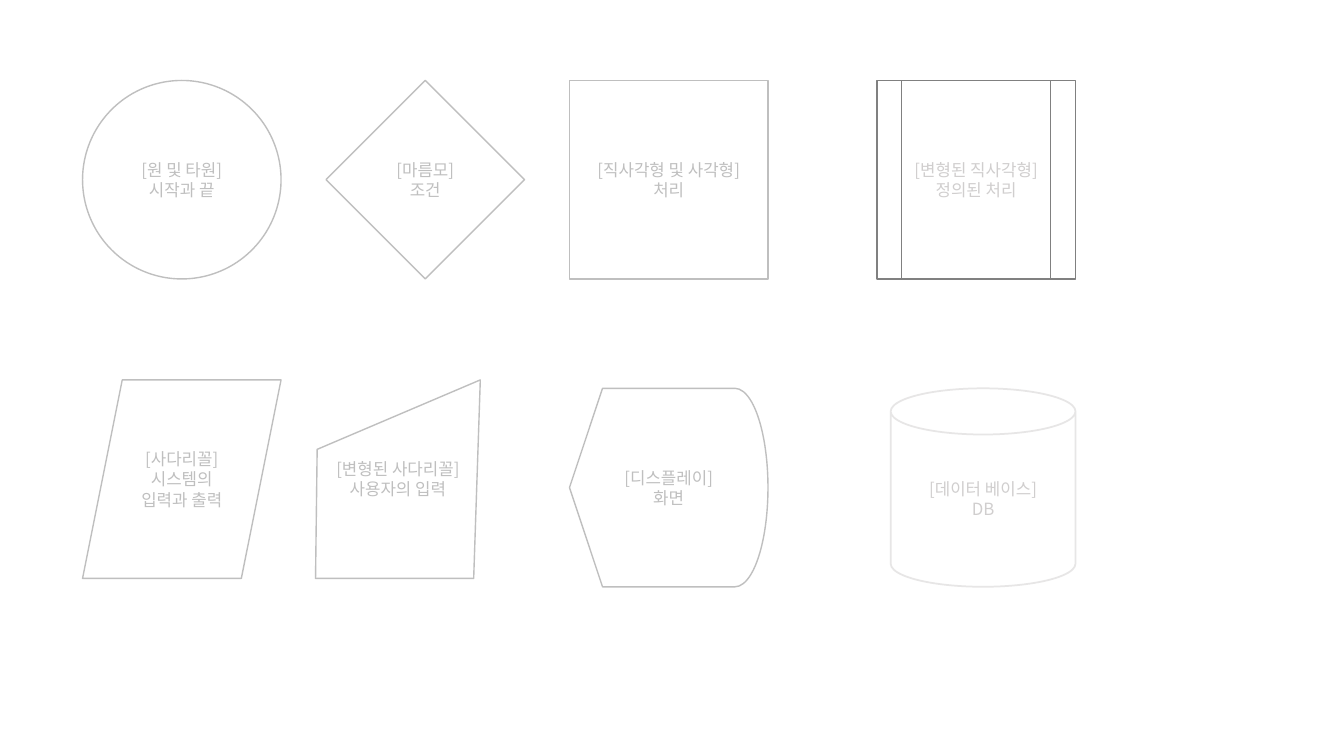
from pptx import Presentation
from pptx.dml.color import RGBColor
from pptx.enum.shapes import MSO_SHAPE
from pptx.enum.text import MSO_ANCHOR, PP_ALIGN
from pptx.oxml.ns import qn
from pptx.util import Pt
from lxml import etree

CIRCLE = MSO_SHAPE.OVAL
DECISION = MSO_SHAPE.FLOWCHART_DECISION
PROCESS = MSO_SHAPE.FLOWCHART_PROCESS
PREDEFINED = MSO_SHAPE.FLOWCHART_PREDEFINED_PROCESS
DATA = MSO_SHAPE.FLOWCHART_DATA
DISPLAY = MSO_SHAPE.FLOWCHART_DISPLAY
DATABASE = MSO_SHAPE.CAN
MIDDLE = MSO_ANCHOR.MIDDLE
CENTER = PP_ALIGN.CENTER

FONT = "Noto Sans CJK KR"
WHITE, GRAY, DARK, PALE, FAINT = "FFFFFF", "BFBFBF", "808080", "D0CECE", "E7E6E6"

SIZE = 141.8
LEFT, STEP = 59, 173.9
COLUMNS = [LEFT + STEP * index for index in range(3)] + [626.4]
TOP_ROW, LOWER_ROW, LOWERED_ROW = 57.5, 271.4, 277.4
CAN_WIDTH = 132
INPUT_LEFT, INPUT_WIDTH = 225.4, 117.7


def color(hex_string):
    return RGBColor.from_string(hex_string)


def write_text(shape, lines, size=12, text_color=GRAY):
    frame = shape.text_frame
    frame.word_wrap = True
    frame.vertical_anchor = MIDDLE
    for index, line in enumerate(lines):
        para = frame.add_paragraph() if index else frame.paragraphs[0]
        para.alignment = CENTER
        span = para.add_run()
        span.text = line
        span.font.name = FONT
        span.font.size = Pt(size)
        span.font.color.rgb = color(text_color)
        # East Asian typeface for the Korean text
        etree.SubElement(span.font._element, qn("a:ea"), typeface=FONT)


def style_symbol(shape, lines, line_color=GRAY, line_width=1, text_color=GRAY):
    shape.shadow.inherit = False
    shape.fill.solid()
    shape.fill.fore_color.rgb = color(WHITE)
    shape.line.color.rgb = color(line_color)
    shape.line.width = Pt(line_width)
    write_text(shape, lines, text_color=text_color)


def add_symbol(page, kind, box, lines, **style):
    shape = page.shapes.add_shape(kind, *map(Pt, box))
    style_symbol(shape, lines, **style)


def add_manual_input(page, box, lines):
    """Draw the four-sided symbol with a sloping top edge."""
    left, top, width, height = box
    corners = [(0, 1), (0.01, 0.35), (1, 0), (0.96, 1)]
    points = [(Pt(left + width * x), Pt(top + height * y)) for x, y in corners]
    builder = page.shapes.build_freeform(*points[0], scale=1.0)
    builder.add_line_segments(points[1:], close=True)
    style_symbol(builder.convert_to_shape(), lines)


def add_top_row(page, top):
    symbols = [
        (CIRCLE, ["[원 및 타원]", "시작과 끝"], {}),
        (DECISION, ["[마름모]", "조건"], {}),
        (PROCESS, ["[직사각형 및 사각형]", "처리"], {}),
        (PREDEFINED, ["[변형된 직사각형]", "정의된 처리"],
         {"line_color": DARK, "text_color": PALE}),
    ]
    for left, (kind, lines, style) in zip(COLUMNS, symbols):
        add_symbol(page, kind, (left, top, SIZE, SIZE), lines, **style)


def add_lower_row(page, top, lowered_top):
    # Data and user input
    add_symbol(page, DATA, (COLUMNS[0], top, SIZE, SIZE),
               ["[사다리꼴]", "시스템의 입력과 출력"])
    add_manual_input(page, (INPUT_LEFT, top, INPUT_WIDTH, SIZE),
                     ["[변형된 사다리꼴]", "사용자의 입력"])
    # Screen and database, set slightly lower
    add_symbol(page, DISPLAY, (COLUMNS[2], lowered_top, SIZE, SIZE),
               ["[디스플레이]", "화면"])
    can_left = COLUMNS[3] + SIZE - CAN_WIDTH
    add_symbol(page, DATABASE, (can_left, lowered_top, CAN_WIDTH, SIZE),
               ["[데이터 베이스]", "DB"],
               line_color=FAINT, line_width=1.25, text_color=PALE)


def main():
    deck = Presentation()
    deck.slide_width, deck.slide_height = Pt(960), Pt(540)
    page = deck.slides.add_slide(deck.slide_layouts[6])
    add_top_row(page, TOP_ROW)
    add_lower_row(page, LOWER_ROW, LOWERED_ROW)
    deck.save("out.pptx")


if __name__ == "__main__":
    main()
